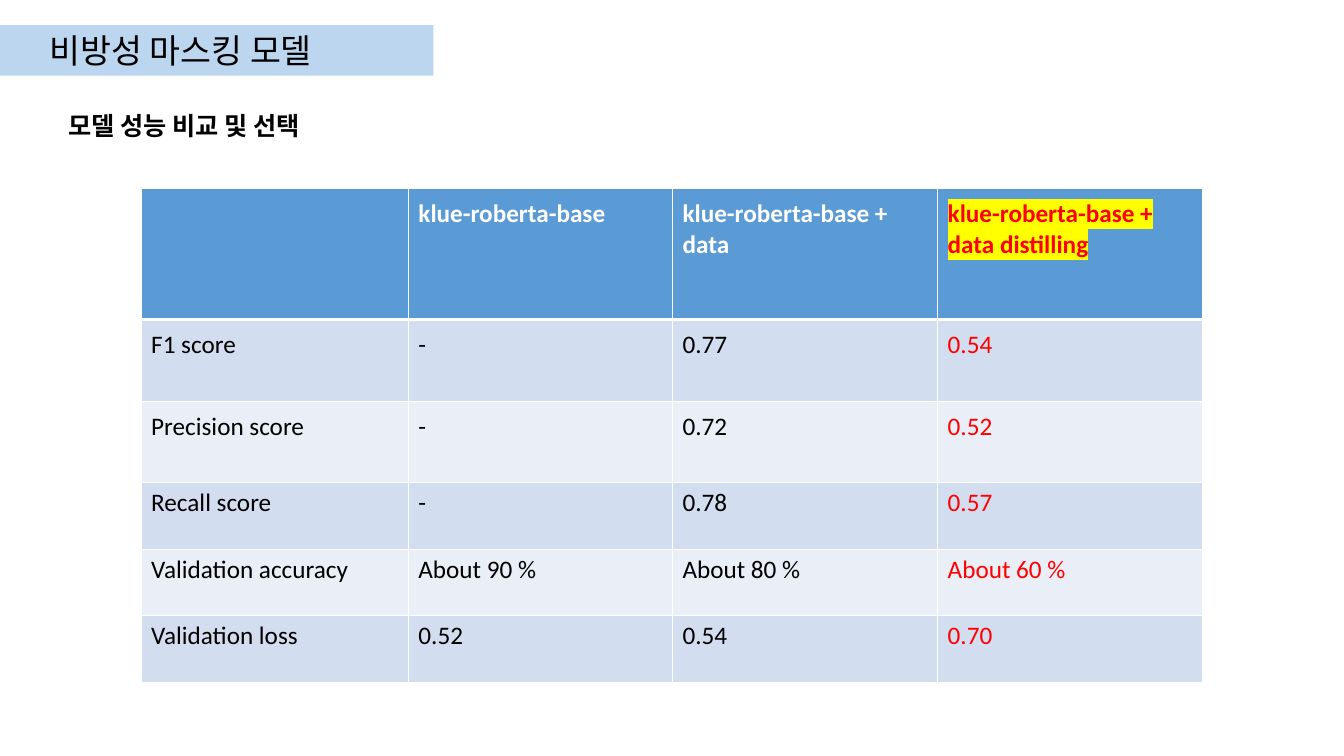
"""Build the slide that compares the scores of three masking models."""
from lxml.etree import SubElement
from pptx import Presentation
from pptx.dml.color import RGBColor
from pptx.enum.shapes import MSO_SHAPE
from pptx.enum.text import MSO_ANCHOR, MSO_AUTO_SIZE, PP_ALIGN
from pptx.oxml import parse_xml
from pptx.oxml.ns import nsdecls, qn
from pptx.util import Inches, Pt

TITLE = "비방성 마스킹 모델"
HEADING = "모델 성능 비교 및 선택"
ROWS = [
    ("", "klue-roberta-base", "klue-roberta-base + data",
     "klue-roberta-base + data distilling"),
    ("F1 score", "-", "0.77", "0.54"),
    ("Precision score", "-", "0.72", "0.52"),
    ("Recall score", "-", "0.78", "0.57"),
    ("Validation accuracy", "About 90 %", "About 80 %", "About 60 %"),
    ("Validation loss", "0.52", "0.54", "0.70"),
]
WIDTHS = [2.65, 2.62, 2.63, 2.63]
HEIGHTS = [1.3, 0.81, 0.81, 0.66, 0.66, 0.66]
HEAD, BANDS = "5B9BD5", ("EAEFF7", "D2DEEF")
BLACK, WHITE, RED, YELLOW = "000000", "FFFFFF", "FF0000", "FFFF00"


def paint(target, color):
    target.solid()
    target.fore_color.rgb = RGBColor.from_string(color)


def box(*spot):
    return [Inches(n) for n in spot]


def write(frame, text, size, color, bold=False):
    par = frame.paragraphs[0]
    par.alignment = PP_ALIGN.LEFT
    run = par.add_run()
    run.text = text
    run.font.size = Pt(size)
    run.font.bold = bold
    run.font.name = "Calibri"
    paint(run.font.fill, color)
    return run


def label(shape, text, size, bold=False):
    frame = shape.text_frame
    frame.word_wrap = True
    frame.auto_size = MSO_AUTO_SIZE.NONE
    frame.vertical_anchor = MSO_ANCHOR.TOP
    write(frame, text, size, BLACK, bold)


def mark(run, color):
    light = parse_xml(f'<a:highlight {nsdecls("a")}/>')
    SubElement(light, qn("a:srgbClr"), val=color)
    run.font._element.find(qn("a:solidFill")).addnext(light)


def edge(cell, sides):
    props = cell._tc.get_or_add_tcPr()
    for spot, (side, width) in enumerate(sides.items()):
        props.insert(spot, parse_xml(
            f'<a:ln{side} {nsdecls("a")} w="{Pt(width)}"><a:solidFill>'
            f'<a:srgbClr val="{WHITE}"/></a:solidFill></a:ln{side}>'))


def fill_cell(cell, row, col, text):
    first, last = row == 0, col == len(WIDTHS) - 1
    paint(cell.fill, HEAD if first else BANDS[row % 2])
    edge(cell, {"L": 1, "R": 1, "T": 3 if row == 1 else 1, "B": 3 if first else 1})
    cell.margin_left = cell.margin_right = Inches(0.1)
    cell.margin_top = cell.margin_bottom = Inches(0.1 if row < 3 else 0.05)
    if text:
        color = RED if last else WHITE if first else BLACK
        run = write(cell.text_frame, text, 18, color, first)
        if first and last:
            mark(run, YELLOW)


def main():
    deck = Presentation()
    deck.slide_width, deck.slide_height = box(13.33, 7.5)
    slide = deck.slides.add_slide(deck.slide_layouts[5])
    shapes = slide.shapes

    band = shapes.add_shape(MSO_SHAPE.RECTANGLE, *box(0, 0.25, 4.3, 0.5))
    band.shadow.inherit = False
    paint(band.fill, "BBD6EE")
    band.line.fill.background()

    title = shapes.title
    title.left, title.top, title.width, title.height = box(0.39, 0.25, 7.7, 0.5)
    label(title, TITLE, 24)
    band._element.addnext(title._element)

    label(shapes.add_textbox(*box(0.58, 1.05, 10.96, 0.4)), HEADING, 18, True)

    spot = box(1.4, 1.87, sum(WIDTHS), sum(HEIGHTS))
    table = shapes.add_table(len(ROWS), len(WIDTHS), *spot).table
    for col, width in zip(table.columns, WIDTHS):
        col.width = Inches(width)
    for row, height in zip(table.rows, HEIGHTS):
        row.height = Inches(height)
    for r, row in enumerate(ROWS):
        for c, text in enumerate(row):
            fill_cell(table.cell(r, c), r, c, text)

    deck.save("out.pptx")


if __name__ == "__main__":
    main()
